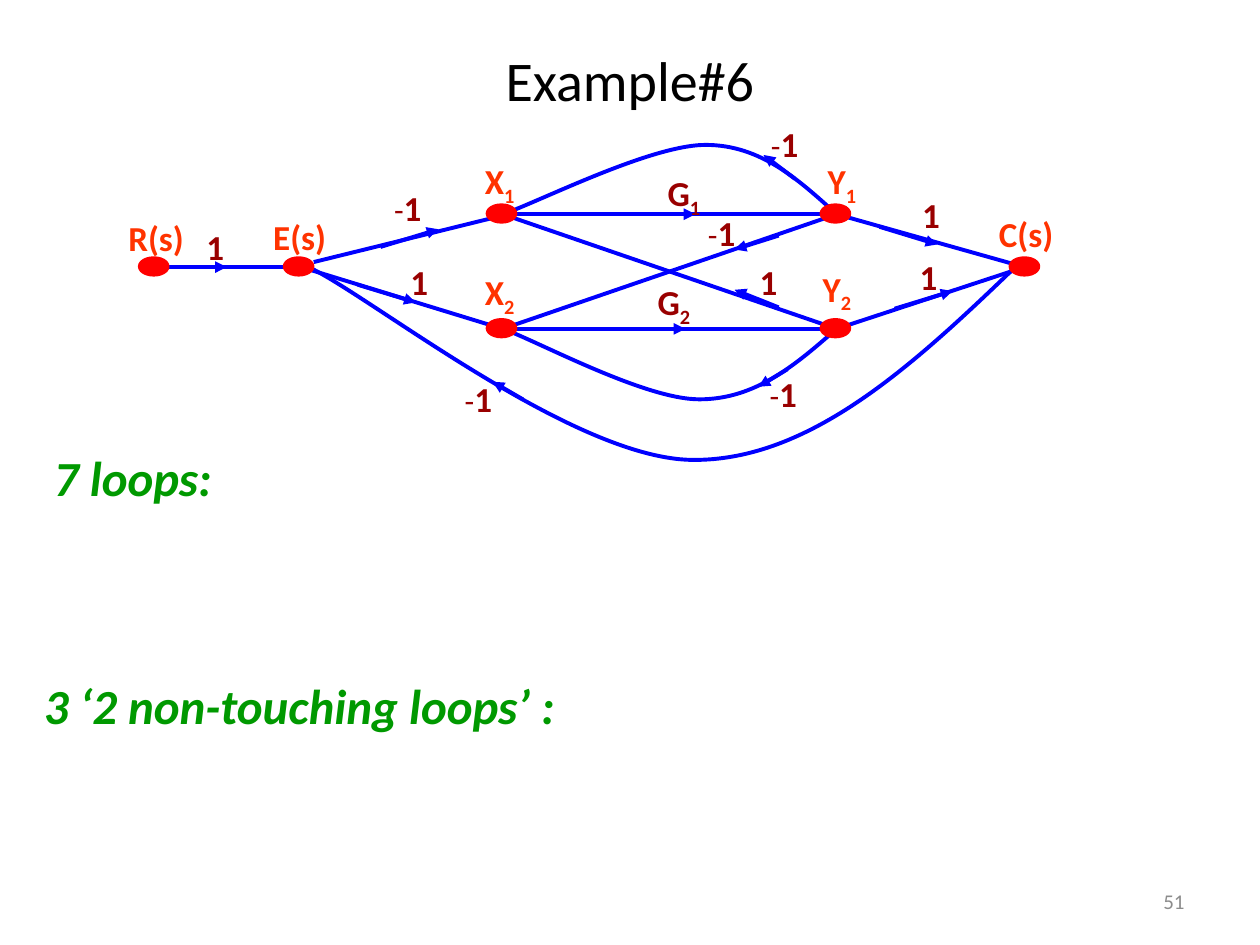
"""Build the signal-flow graph slide for Example#6."""
from lxml.etree import SubElement
from pptx import Presentation
from pptx.dml.color import RGBColor
from pptx.enum.shapes import MSO_CONNECTOR, MSO_SHAPE
from pptx.enum.text import MSO_ANCHOR, PP_ALIGN
from pptx.oxml.ns import qn
from pptx.util import Pt

PX = 9144
BLACK = RGBColor(0x00, 0x00, 0x00)
BLUE = RGBColor(0x00, 0x00, 0xFF)
RED = RGBColor(0xFF, 0x00, 0x00)
ORANGE = RGBColor(0xFF, 0x33, 0x00)
MAROON = RGBColor(0x99, 0x00, 0x00)
GREEN = RGBColor(0x00, 0x99, 0x00)
GREY = RGBColor(0x8C, 0x8C, 0x8C)

deck = Presentation()
deck.slide_width = 1000 * PX
deck.slide_height = 750 * PX
page = deck.slides.add_slide(deck.slide_layouts[6])


def add_text(left, top, width, height, spans, color, align=PP_ALIGN.LEFT,
             anchor=MSO_ANCHOR.TOP, italic=False):
    box = page.shapes.add_textbox(left * PX, top * PX, width * PX, height * PX)
    box.text_frame.word_wrap = True
    box.text_frame.vertical_anchor = anchor
    para = box.text_frame.paragraphs[0]
    para.alignment = align
    for text, size, bold, baseline in spans:
        span = para.add_run()
        span.text = text
        span.font.name = "Calibri"
        span.font.size = Pt(size)
        span.font.bold = bold
        span.font.italic = italic
        span.font.color.rgb = color
        if baseline:
            span.font._element.set("baseline", str(baseline))


def add_branch(x1, y1, x2, y2, arrow):
    branch = page.shapes.add_connector(
        MSO_CONNECTOR.STRAIGHT, x1 * PX, y1 * PX, x2 * PX, y2 * PX)
    branch.line.color.rgb = BLUE
    branch.line.width = Pt(2.25)
    if arrow:
        SubElement(branch.line._get_or_add_ln(), qn("a:tailEnd"), type="triangle")
    SubElement(branch._element.spPr, qn("a:effectLst"))


add_text(75, 25, 850, 75, [("Example#6", 32, False, 0)], BLACK,
         PP_ALIGN.CENTER, MSO_ANCHOR.MIDDLE)

branches = [
    (123, 212, 238, 212), (239, 212, 399, 261), (249, 208, 391, 173),
    (399, 170, 664, 170), (399, 261, 664, 261),
    (664, 261, 399, 170), (664, 170, 399, 261),
    (664, 170, 813, 212), (664, 261, 813, 212),
]
for ends in branches:
    add_branch(*ends, arrow=False)

feedback_curves = [
    [(664, 170), (634, 143), (604, 115), (560, 115), (516, 115), (426, 161), (399, 170)],
    [(664, 261), (632, 289), (600, 317), (555, 317), (511, 317), (425, 270), (399, 261)],
    [(813, 205), (730, 285), (647, 364), (553, 365), (459, 367), (298, 238), (247, 213)],
]
for start, *controls in feedback_curves:
    builder = page.shapes.build_freeform(*start, scale=PX)
    builder.add_line_segments(controls, close=False)
    curve = builder.convert_to_shape()
    curve.shadow.inherit = False
    curve.fill.background()
    curve.line.color.rgb = BLUE
    curve.line.width = Pt(2.25)
    outline = curve._element.find(".//" + qn("a:path"))
    segments = outline.findall(qn("a:lnTo"))
    for first in range(0, len(segments), 3):
        bezier = SubElement(outline, qn("a:cubicBezTo"))
        for segment in segments[first:first + 3]:
            bezier.append(segment[0])
            outline.remove(segment)

nodes = [(111, 205), (226, 205), (387, 163), (387, 254),
         (652, 163), (652, 254), (802, 205)]
for left, top in nodes:
    node = page.shapes.add_shape(
        MSO_SHAPE.OVAL, left * PX, top * PX, 22 * PX, 13 * PX)
    node.shadow.inherit = False
    node.fill.solid()
    node.fill.fore_color.rgb = RED
    node.line.color.rgb = RED
    node.line.width = Pt(2.25)

arrows = [
    (157, 212, 180, 212), (302, 196, 348, 182), (284, 226, 330, 240),
    (631, 142, 606, 123), (618, 187, 583, 198), (618, 244, 583, 230),
    (698, 180, 744, 194), (710, 245, 756, 231), (625, 293, 602, 307),
    (487, 261, 544, 261), (503, 170, 552, 170), (415, 317, 391, 303),
]
for ends in arrows:
    add_branch(*ends, arrow=True)

for left, top in [(154, 174), (316, 202), (722, 149), (720, 198), (593, 202)]:
    add_text(left, top, 34, 44, [("1", 20, True, 0)], MAROON)

for left, top in [(303, 143), (602, 92), (552, 163), (359, 295), (601, 291)]:
    add_text(left, top, 64, 50, [("-", 18, False, 0), ("1", 20, True, 0)], MAROON)

for left, top, name in [(92, 167, "R(s)"), (207, 166, "E(s)"), (783, 164, "C(s)")]:
    add_text(left, top, 69, 44, [(name, 20, True, 0)], ORANGE)

indexed_labels = [
    (520, 131, "G", "1", MAROON), (512, 218, "G", "2", MAROON),
    (375, 122, "X", "1", ORANGE), (375, 210, "X", "2", ORANGE),
    (647, 122, "Y", "1", ORANGE), (643, 207, "Y", "2", ORANGE),
]
for left, top, letter, index, color in indexed_labels:
    add_text(left, top, 49, 65,
             [(letter, 20, True, 0), (index, 20, True, -25000)], color)

add_text(33, 350, 155, 57, [("7 loops:", 28, True, 0)], GREEN, italic=True)
add_text(25, 531, 440, 57, [("3 ‘2 non-touching loops’ :", 28, True, 0)],
         GREEN, italic=True)
add_text(717, 695, 233, 40, [("51", 12, False, 0)], GREY,
         PP_ALIGN.RIGHT, MSO_ANCHOR.MIDDLE)

deck.save("out.pptx")
